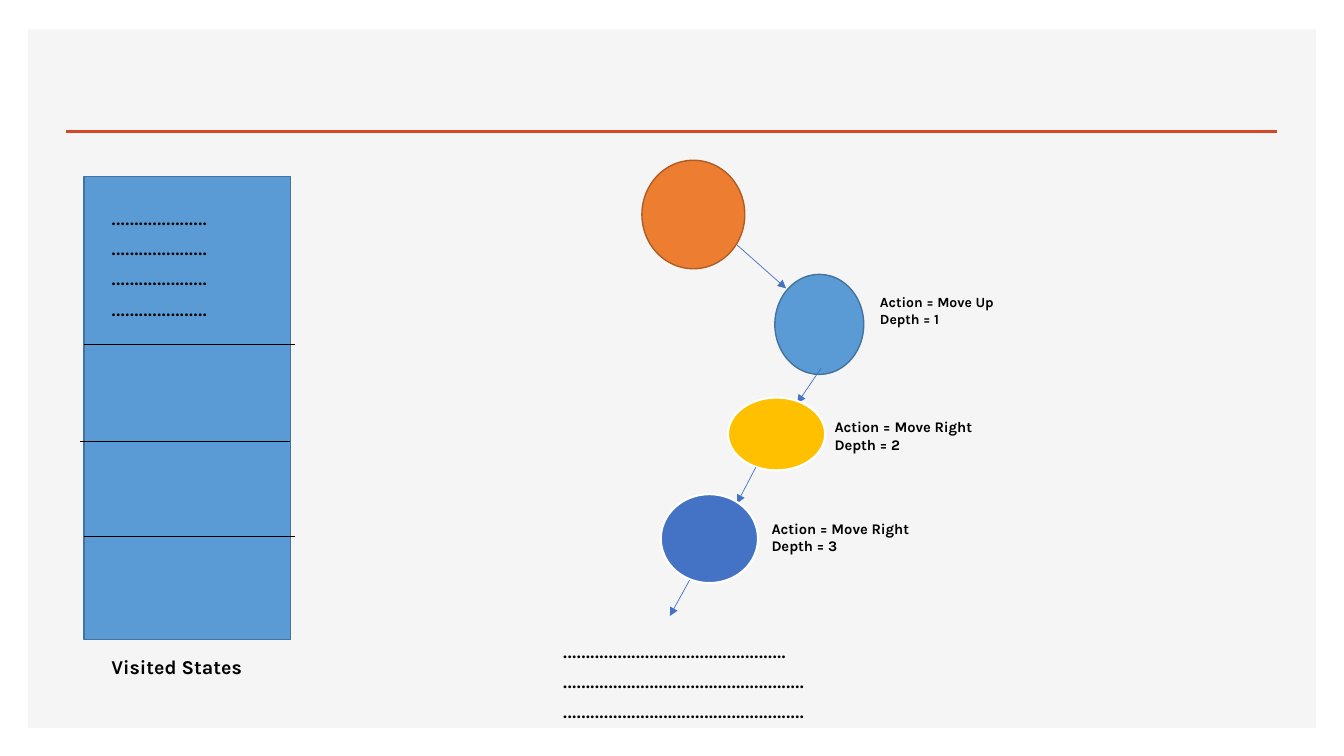
from lxml.etree import SubElement
from pptx import Presentation
from pptx.dml.color import RGBColor
from pptx.enum.shapes import MSO_CONNECTOR as CONNECTOR, MSO_SHAPE as SHAPE
from pptx.enum.text import MSO_AUTO_SIZE as AUTO_SIZE
from pptx.oxml.ns import qn
from pptx.util import Pt

COLORS = {
    "panel": "F5F5F5", "rule": "D24726", "text": "000000", "white": "FFFFFF",
    "orange": "ED7D31", "orange_edge": "AF5C24",
    "sky": "5B9BD5", "sky_edge": "43739E",
    "gold": "FFC000", "blue": "4472C4",
}


def rgb(name):
    return RGBColor.from_string(COLORS[name])


def add_block(slide, kind, box, fill, edge=None, edge_width=1):
    block = slide.shapes.add_shape(kind, *map(Pt, box))
    block.shadow.inherit = False
    block.fill.solid()
    block.fill.fore_color.rgb = rgb(fill)
    if edge:
        block.line.color.rgb = rgb(edge)
        block.line.width = Pt(edge_width)
    else:
        block.line.fill.background()


def add_line(slide, start, end, color="text", width=0.5, arrow=False):
    line = slide.shapes.add_connector(CONNECTOR.STRAIGHT, *map(Pt, start + end))
    line.line.color.rgb = rgb(color)
    line.line.width = Pt(width)
    if arrow:
        SubElement(line.line._get_or_add_ln(), qn("a:tailEnd"), type="triangle")
    SubElement(line._element.spPr, qn("a:effectLst"))


def add_text(slide, text, box, size=18, bold=False, color="text", font="Karla"):
    frame = slide.shapes.add_textbox(*map(Pt, box)).text_frame
    frame.word_wrap = True
    frame.auto_size = AUTO_SIZE.SHAPE_TO_FIT_TEXT
    frame.text = text
    for paragraph in frame.paragraphs:
        paragraph.font.size = Pt(size)
        paragraph.font.bold = bold
        paragraph.font.name = font
        paragraph.font.color.rgb = rgb(color)


def add_search_path(slide):
    # Each state: ellipse box, fill, edge, edge width, arrow to the next state
    states = [
        ((458.5, 114.5, 73.5, 77.5), "orange", "orange_edge", 1,
         (526.5, 175), (561.5, 206)),
        ((553.5, 196, 63.5, 71.5), "sky", "sky_edge", 1,
         (586.5, 263), (569.5, 288)),
        ((520, 284, 69.5, 52), "gold", "white", 1.5,
         (540, 333.5), (526.5, 359.5)),
        ((472, 353, 69.5, 63.5), "blue", "white", 1.5,
         (492.5, 414.5), (478.5, 440)),
    ]
    for box, fill, edge, edge_width, start, end in states:
        add_block(slide, SHAPE.OVAL, box, fill, edge, edge_width)
        add_line(slide, start, end, "blue", arrow=True)

    # Action and depth beside each state
    steps = [
        ("Up", (621.5, 206, 135.5, 31.5), 10),
        ("Right", (589, 295, 175.5, 33.5), 10.5),
        ("Right", (544, 367.5, 175.5, 33.5), 10.5),
    ]
    for depth, (move, box, size) in enumerate(steps, 1):
        add_text(slide, f"Action = Move {move}\nDepth = {depth}", box,
                 size=size, bold=True)

    # Further states
    add_text(slide, "………………………………………….\n"
                    "……………………………………………..\n"
                    "……………………………………………..", (395, 448.5, 413.5, 73))


def add_visited_states(slide):
    add_block(slide, SHAPE.RECTANGLE, (60, 126, 147.5, 331), "sky", "sky_edge")
    add_text(slide, "Visited States", (72.5, 464.5, 135.5, 24.5), size=14, bold=True)
    for left, right, y in [(60, 211, 383), (57, 207.5, 315), (60, 211, 246)]:
        add_line(slide, (left, y), (right, y))
    add_text(slide, "\n".join(["…………………"] * 4), (72.5, 139.5, 119.5, 116.5))


def main():
    deck = Presentation()
    deck.slide_width, deck.slide_height = Pt(960), Pt(540)
    slide = deck.slides.add_slide(deck.slide_layouts[6])

    # Background panel and title rule
    add_block(slide, SHAPE.RECTANGLE, (20, 21, 920, 499), "panel")
    add_line(slide, (47.5, 94), (912.5, 94), "rule", 2)

    add_search_path(slide)
    add_visited_states(slide)
    deck.save("out.pptx")


if __name__ == "__main__":
    main()
